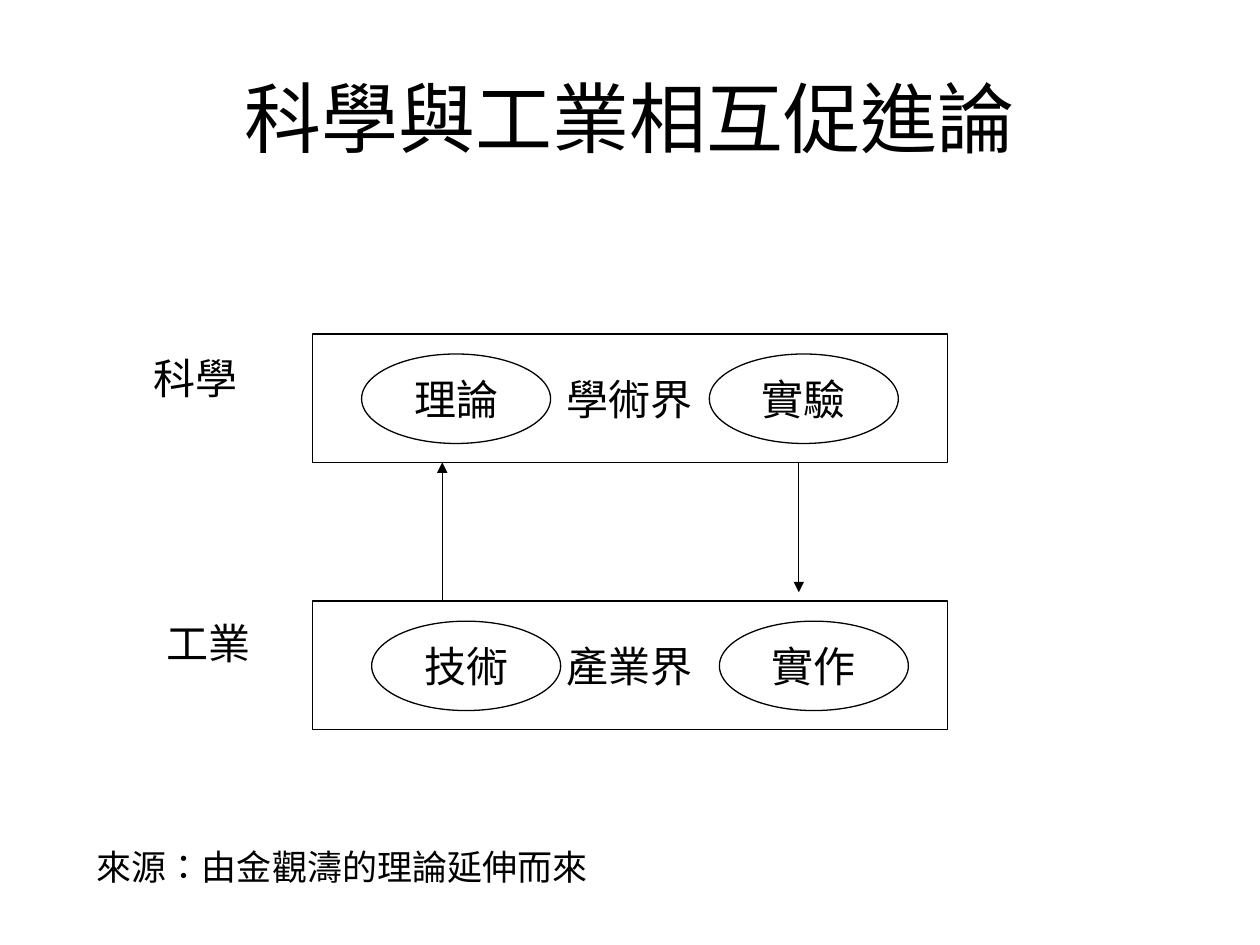
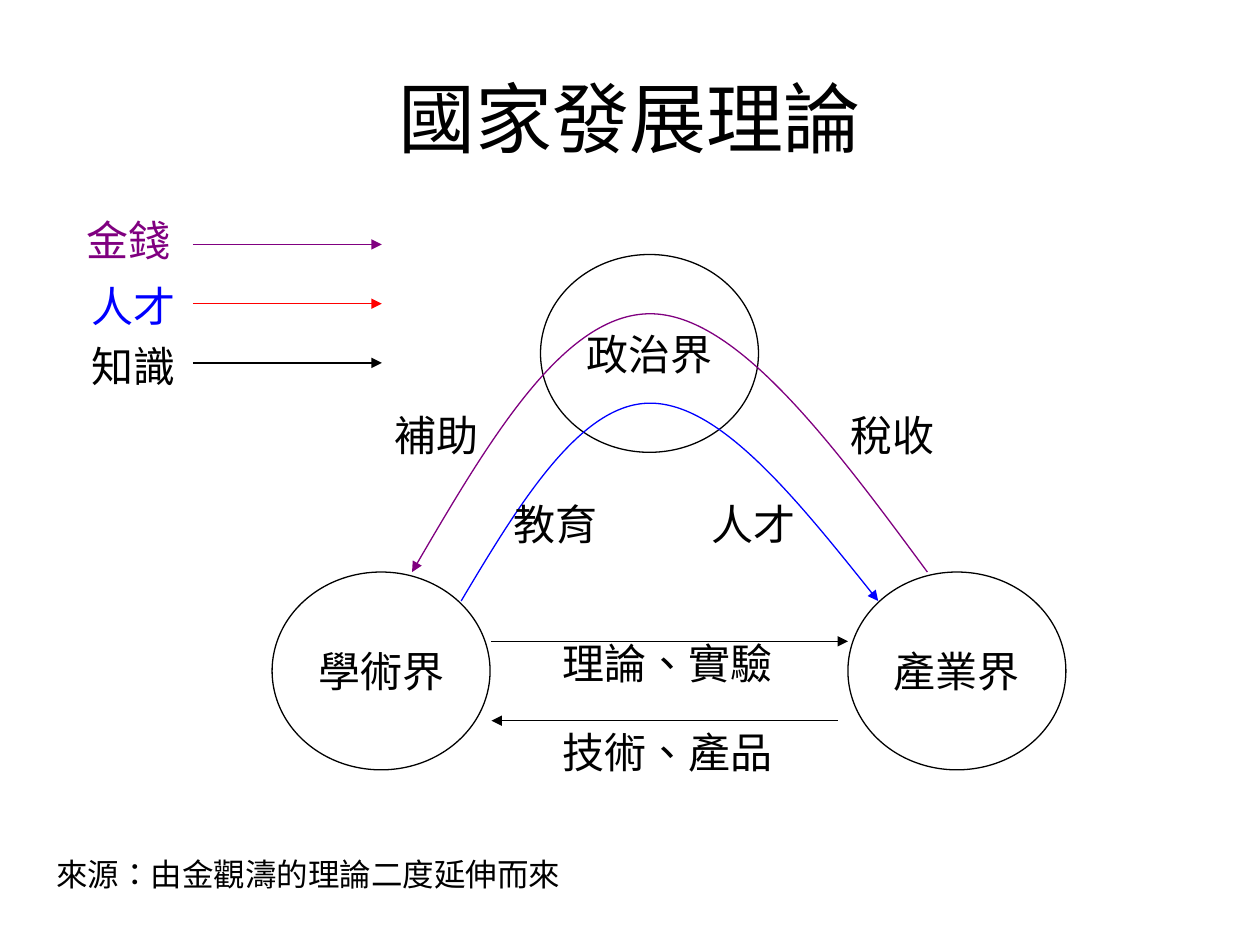
from pptx import Presentation
from pptx.dml.color import RGBColor
from pptx.enum.lang import MSO_LANGUAGE_ID
from pptx.enum.shapes import MSO_CONNECTOR, MSO_SHAPE
from pptx.enum.text import MSO_ANCHOR, MSO_AUTO_SIZE, PP_ALIGN
from pptx.oxml.ns import qn
from pptx.util import Inches, Pt
from lxml.etree import SubElement

FONT = "Times New Roman"
BLACK, PURPLE, BLUE, RED = "000000", "800080", "0000FF", "FF0000"


def paint(form, color):
    form.color.rgb = RGBColor.from_string(color)


def write(frame, text, size=24, color=BLACK, align=PP_ALIGN.LEFT,
          anchor=MSO_ANCHOR.TOP, wrap=False):
    frame.word_wrap = wrap
    frame.vertical_anchor = anchor
    para = frame.paragraphs[0]
    para.alignment = align
    run = para.add_run()
    run.text = text
    run.font.name = FONT
    run.font.size = Pt(size)
    run.font.language_id = MSO_LANGUAGE_ID.TRADITIONAL_CHINESE
    paint(run.font, color)


def add_page(deck, title):
    page = deck.slides.add_slide(deck.slide_layouts[5])
    head = page.shapes.title
    head.left, head.top = Inches(0.5), Inches(0.3)
    head.width, head.height = Inches(9), Inches(1.25)
    write(head.text_frame, title, size=44, align=PP_ALIGN.CENTER,
          anchor=MSO_ANCHOR.MIDDLE, wrap=True)
    return page


def add_label(page, text, left, top, width=0.87, height=0.5, **style):
    box = page.shapes.add_textbox(Inches(left), Inches(top),
                                  Inches(width), Inches(height))
    write(box.text_frame, text, **style)
    box.text_frame.auto_size = MSO_AUTO_SIZE.SHAPE_TO_FIT_TEXT


def add_node(page, kind, text, left, top, width, height):
    node = page.shapes.add_shape(kind, Inches(left), Inches(top),
                                 Inches(width), Inches(height))
    node.shadow.inherit = False
    node.fill.background()
    node.line.width = Pt(0.75)
    paint(node.line, BLACK)
    write(node.text_frame, text, align=PP_ALIGN.CENTER,
          anchor=MSO_ANCHOR.MIDDLE)


def add_tip(shape, color):
    shape.line.width = Pt(0.75)
    paint(shape.line, color)
    line = shape.line._get_or_add_ln()
    SubElement(line, qn("a:tailEnd"), type="triangle", w="med", len="med")


def add_arrow(page, start, end, color=BLACK):
    arrow = page.shapes.add_connector(
        MSO_CONNECTOR.STRAIGHT, *map(Inches, start + end))
    add_tip(arrow, color)
    SubElement(arrow._element.spPr, qn("a:effectLst"))


def add_curve(page, points, color):
    spots = [(Inches(x), Inches(y)) for x, y in points]
    pen = page.shapes.build_freeform(*spots[0])
    pen.add_line_segments(spots[1:], close=False)
    curve = pen.convert_to_shape()
    curve.shadow.inherit = False
    curve.fill.background()
    add_tip(curve, color)
    steps = list(curve._element.iter(qn("a:lnTo")))
    track = steps[0].getparent()
    for first in range(0, len(steps), 3):
        bend = SubElement(track, qn("a:cubicBezTo"))
        for step in steps[first:first + 3]:
            bend.append(step[0])
            track.remove(step)


def draw_mutual(deck):
    page = add_page(deck, "科學與工業相互促進論")
    bands = [
        (2.65, "學術界", 2.87, "理論", "實驗", "科學", 1.12, 2.75),
        (4.77, "產業界", 2.95, "技術", "實作", "工業", 1.22, 4.85),
    ]
    for top, field, left, first, second, name, side, line in bands:
        add_node(page, MSO_SHAPE.RECTANGLE, field, 2.48, top, 5.04, 1.02)
        for index, text in enumerate((first, second)):
            add_node(page, MSO_SHAPE.OVAL, text,
                     left + 2.76 * index, top + 0.16, 1.5, 0.71)
        add_label(page, name, side, line)
    add_arrow(page, (6.34, 3.67), (6.34, 4.7))
    add_arrow(page, (3.51, 4.77), (3.51, 3.67))
    add_label(page, "來源：由金觀濤的理論延伸而來", 0.67, 6.66, 4.1, 0.43, size=20)


def draw_nation(deck):
    page = add_page(deck, "國家發展理論")
    fields = [("學術界", 2.16, 4.54), ("政治界", 4.29, 2.02),
              ("產業界", 6.73, 4.54)]
    for text, left, top in fields:
        add_node(page, MSO_SHAPE.OVAL, text, left, top, 1.73, 1.57)

    add_arrow(page, (6.65, 5.72), (3.9, 5.72))
    add_arrow(page, (3.9, 5.09), (6.73, 5.09))
    add_curve(page, [(7.36, 4.54), (6.6, 3.51), (5.84, 2.49), (5.16, 2.49),
                     (4.48, 2.49), (3.87, 3.51), (3.27, 4.54)], PURPLE)
    add_curve(page, [(3.66, 4.77), (4.13, 3.98), (4.61, 3.2), (5.16, 3.2),
                     (5.71, 3.2), (6.34, 3.98), (6.97, 4.77)], BLUE)

    flows = [("補助", 3.03, 3.2), ("稅收", 6.65, 3.2),
             ("教育", 3.98, 3.91), ("人才", 5.55, 3.91)]
    for text, left, top in flows:
        add_label(page, text, left, top)
    for text, top in (("理論、實驗", 5.01), ("技術、產品", 5.72)):
        add_label(page, text, 4.37, top, 1.87)

    legend = [("金錢", 0.59, 1.65, PURPLE, PURPLE),
              ("人才", 0.63, 2.18, BLUE, RED),
              ("知識", 0.63, 2.65, BLACK, BLACK)]
    for index, (text, left, top, ink, tint) in enumerate(legend):
        level = 1.94 + 0.47 * index
        add_label(page, text, left, top, color=ink)
        add_arrow(page, (1.53, level), (3.03, level), tint)
    add_label(page, "來源：由金觀濤的理論二度延伸而來", 0.35, 6.74, 4.2, 0.4, size=18)


def main():
    deck = Presentation()
    deck.slide_width, deck.slide_height = Inches(10), Inches(7.5)
    draw_mutual(deck)
    draw_nation(deck)
    deck.save("out.pptx")


if __name__ == "__main__":
    main()
